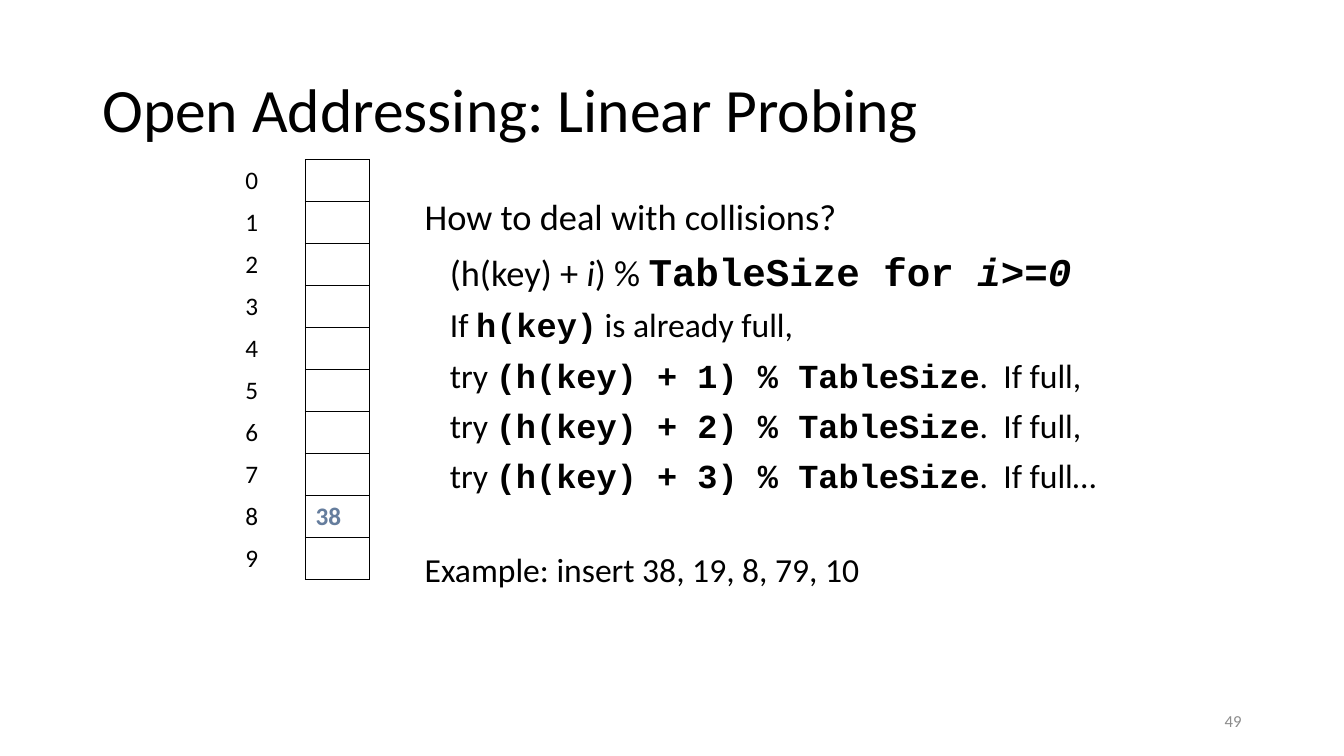
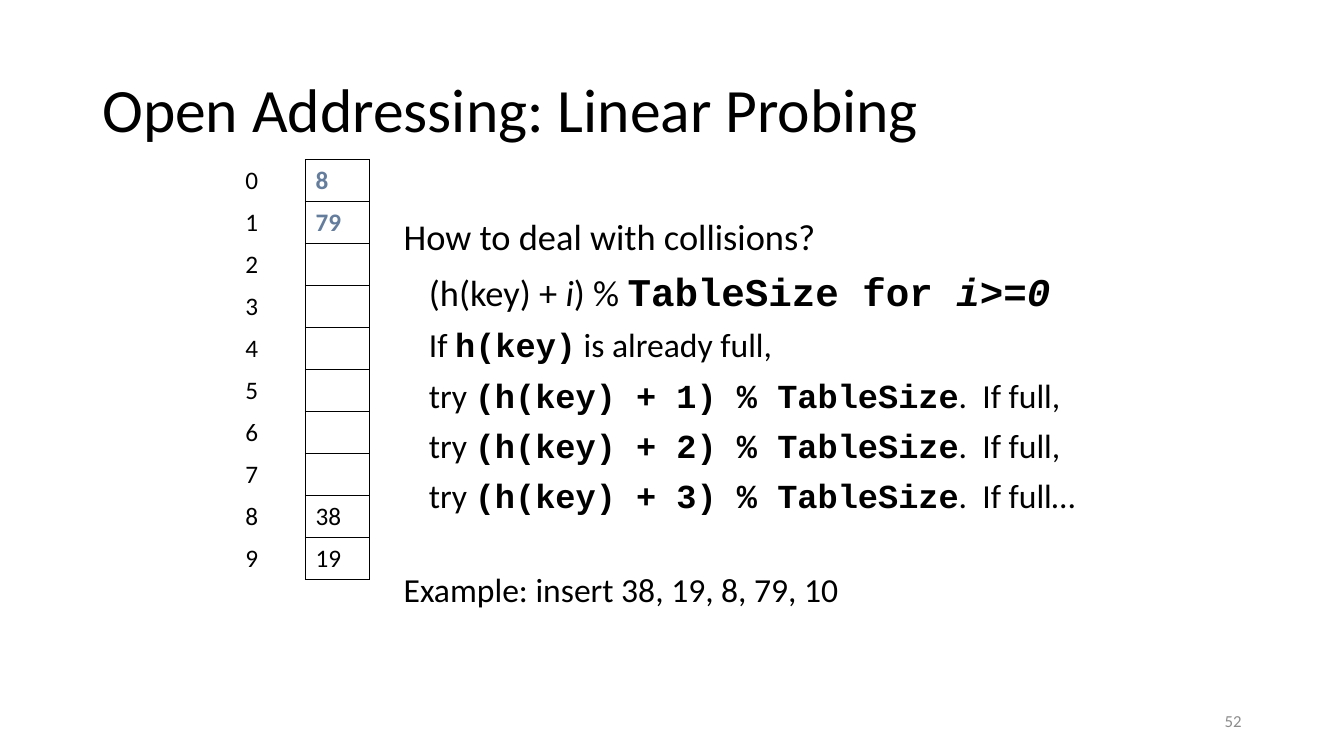
from lxml import etree
from pptx import Presentation
from pptx.dml.color import RGBColor
from pptx.enum.text import MSO_ANCHOR, PP_ALIGN
from pptx.oxml.ns import qn
from pptx.util import Emu, Pt

# Content
TITLE = "Open Addressing: Linear Probing"
EXAMPLE = "Example: insert 38, 19, 8, 79, 10"
ATTEMPTS = [(1, ".  If full,"), (2, ".  If full,"), (3, ".  If full…")]
# Each line: runs of (text, style), size, space before, indent
LINES = [
    ([("How to deal with collisions?", "plain")], 26, 0, 0),
    ([("(h(key) + ", "plain"), ("i", "variable"), (") % ", "plain"),
      ("TableSize for ", "big code"), ("i>=0", "big code variable")], 26, 10, 24),
    ([("If ", "plain"), ("h(key)", "code"), (" is already full,", "plain")], 24, 10, 24),
    *[([("try ", "plain"), (f"(h(key) + {step}) % TableSize", "code"),
        (ending, "plain")], 24, 10, 24) for step, ending in ATTEMPTS],
    ([(EXAMPLE, "plain")], 24, 41, 0),
]
# Stored keys by table index; "new" keys are highlighted
SLIDES = [
    {"number": "49", "body": (395, 185), "keys": {8: "38"}, "new": {8}},
    {"number": "52", "body": (375, 204),
     "keys": {0: "8", 1: "79", 8: "38", 9: "19"}, "new": {0, 1}},
]

# Shared style
COLORS = {"text": "000000", "highlight": "657D9D", "number": "8C8C8C"}
FONT, CODE_FONT = "Calibri", "Courier New"
RUN_STYLES = {
    "plain": {},
    "variable": {"italic": True},
    "code": {"font": CODE_FONT, "bold": True},
    "big code": {"font": CODE_FONT, "bold": True, "size": 28},
    "big code variable": {"font": CODE_FONT, "bold": True, "size": 28, "italic": True},
}
TABLE_SIZE, ROW_HEIGHT = 10, 40
TABLE_LEFT, TABLE_TOP = 224, 152
COLUMN_WIDTHS = (67, 61)
EDGES = ("lnL", "lnR", "lnT", "lnB")


def px(value):
    return Emu(value * 9525)


def add_run(paragraph, text, size=18, color="text", font=FONT, bold=False, italic=False):
    run = paragraph.add_run()
    run.text = text
    run.font.name = font
    run.font.size = Pt(size)
    run.font.bold = bold
    run.font.italic = italic
    run.font.color.rgb = RGBColor.from_string(COLORS[color])


def add_box(slide, left, top, width, height, anchor=MSO_ANCHOR.MIDDLE):
    frame = slide.shapes.add_textbox(px(left), px(top), px(width), px(height)).text_frame
    frame.word_wrap = True
    frame.vertical_anchor = anchor
    return frame


def add_title(slide):
    paragraph = add_box(slide, 88, 38, 1104, 139).paragraphs[0]
    paragraph.line_spacing = 0.9
    add_run(paragraph, TITLE, size=44)


def add_body(slide, left, top):
    frame = add_box(slide, left, top, 720, 451, MSO_ANCHOR.TOP)
    for index, (runs, size, before, indent) in enumerate(LINES):
        paragraph = frame.add_paragraph() if index else frame.paragraphs[0]
        paragraph.line_spacing = 0.9
        paragraph.space_before = Pt(before)
        properties = paragraph._p.get_or_add_pPr()
        properties.set("marL", str(px(indent)))
        properties.set("indent", "0")
        for text, style in runs:
            add_run(paragraph, text, **{"size": size, **RUN_STYLES[style]})


def set_borders(cell, drawn):
    properties = cell._tc.get_or_add_tcPr()
    for edge in EDGES:
        line = etree.SubElement(properties, qn(f"a:{edge}"), w=str(Pt(1)))
        if edge in drawn:
            fill = etree.SubElement(line, qn("a:solidFill"))
            etree.SubElement(fill, qn("a:srgbClr"), val=COLORS["text"])
        else:
            etree.SubElement(line, qn("a:noFill"))


def add_hash_table(slide, keys, new):
    table = slide.shapes.add_table(
        TABLE_SIZE, len(COLUMN_WIDTHS), px(TABLE_LEFT), px(TABLE_TOP),
        px(sum(COLUMN_WIDTHS)), px(TABLE_SIZE * ROW_HEIGHT)).table
    table.first_row = table.horz_banding = False
    for column, width in zip(table.columns, COLUMN_WIDTHS):
        column.width = px(width)
    for index in range(TABLE_SIZE):
        table.rows[index].height = px(ROW_HEIGHT)
        label, slot = table.cell(index, 0), table.cell(index, 1)
        for cell, drawn in ((label, ("lnR",)), (slot, EDGES)):
            set_borders(cell, drawn)
            cell.fill.background()
            cell.vertical_anchor = MSO_ANCHOR.MIDDLE
        add_run(label.text_frame.paragraphs[0], str(index))
        if index in keys:
            add_run(slot.text_frame.paragraphs[0], keys[index], bold=index in new,
                    color="highlight" if index in new else "text")


def add_slide_number(slide, number):
    paragraph = add_box(slide, 904, 667, 288, 38).paragraphs[0]
    paragraph.alignment = PP_ALIGN.RIGHT
    add_run(paragraph, number, size=12, color="number")


def main():
    presentation = Presentation()
    presentation.slide_width, presentation.slide_height = px(1280), px(720)
    for content in SLIDES:
        slide = presentation.slides.add_slide(presentation.slide_layouts[6])
        add_title(slide)
        add_body(slide, *content["body"])
        add_hash_table(slide, content["keys"], content["new"])
        add_slide_number(slide, content["number"])
    presentation.save("out.pptx")


if __name__ == "__main__":
    main()
